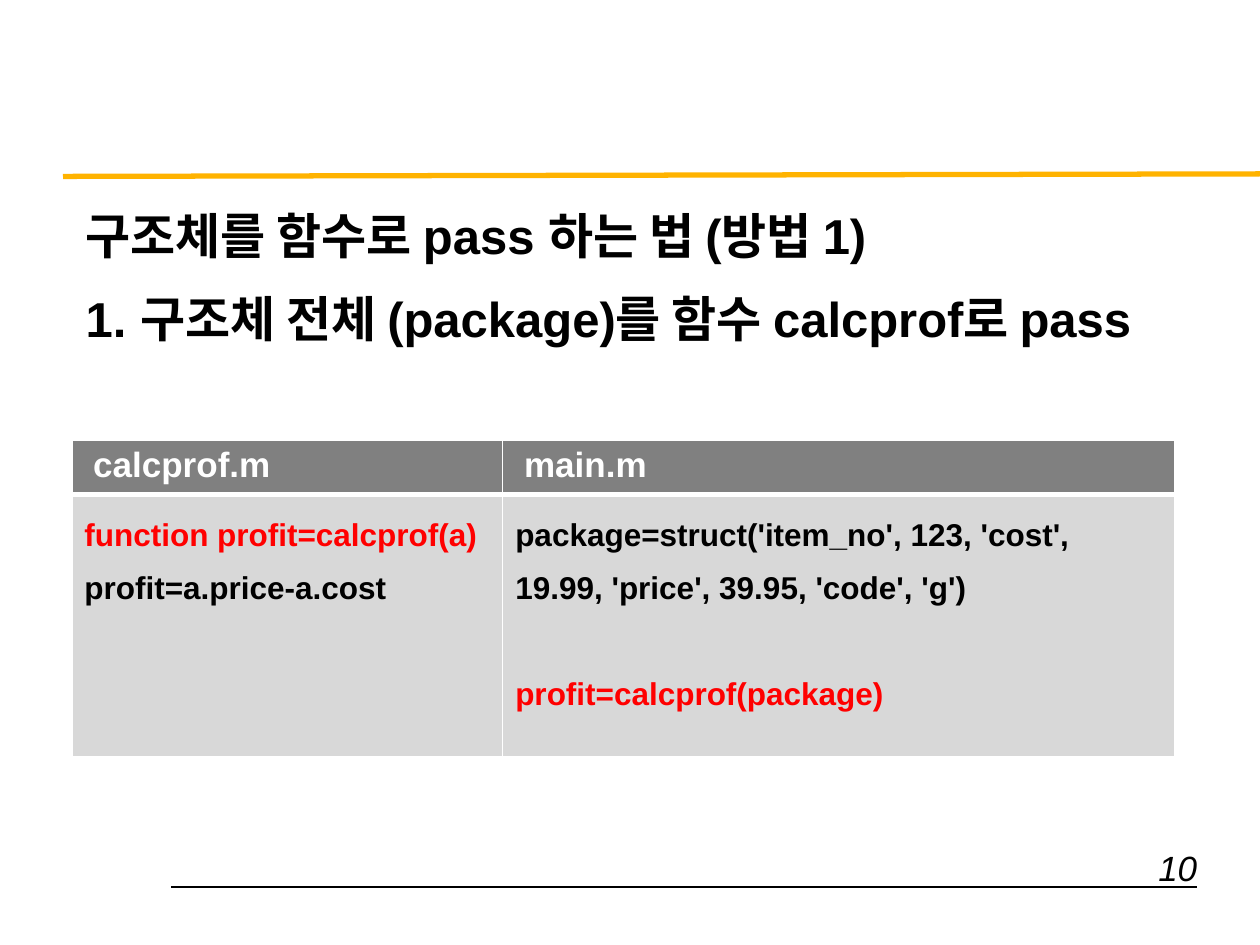
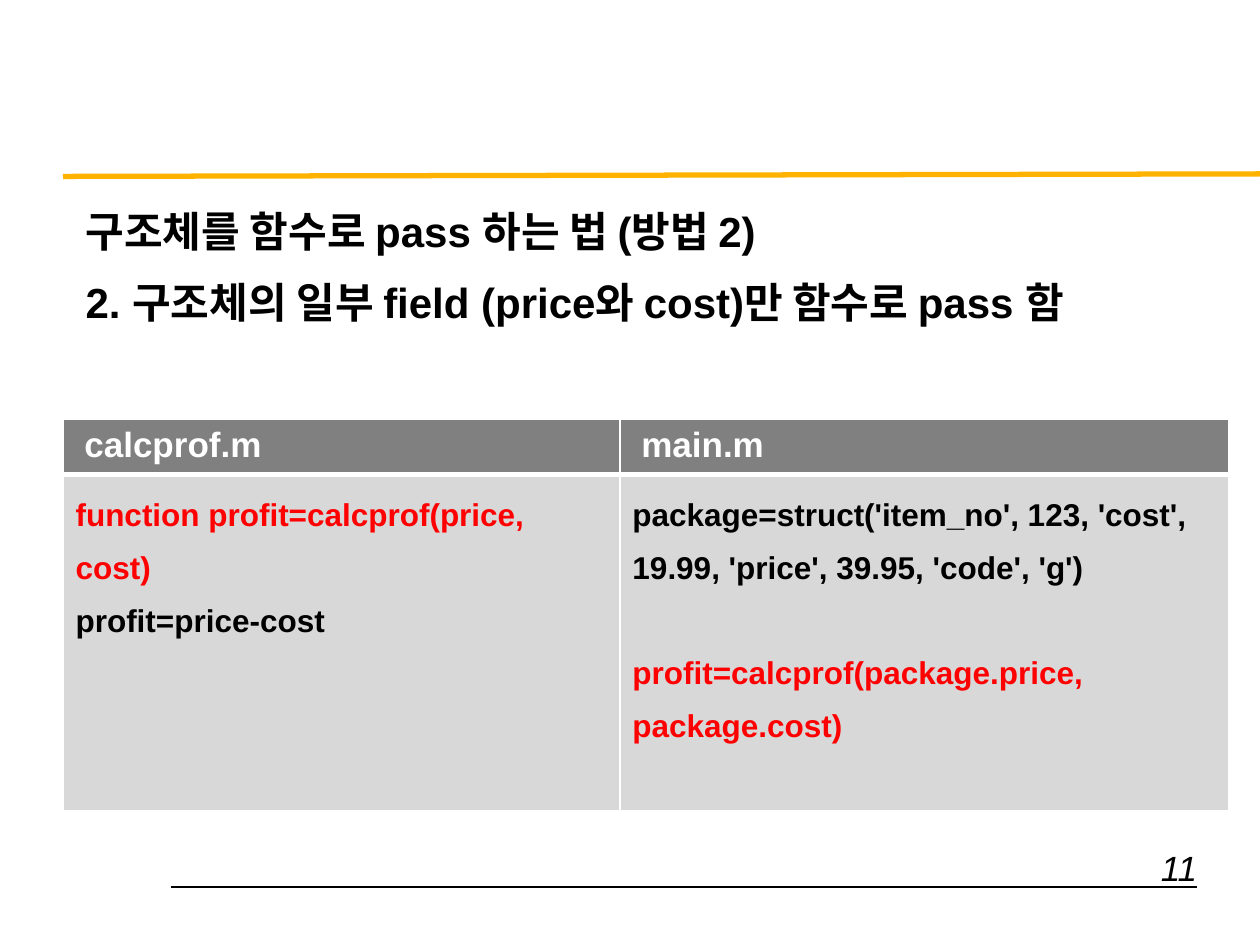
from lxml import etree
from pptx import Presentation
from pptx import util as u
from pptx.dml.color import RGBColor
from pptx.enum import shapes, text
from pptx.oxml import ns

BLACK = RGBColor(0, 0, 0)
WHITE = RGBColor(255, 255, 255)
RED = RGBColor(255, 0, 0)
GOLD = RGBColor(0xFF, 0xB3, 0x00)
GRAY = RGBColor(0x80, 0x80, 0x80)
PALE = RGBColor(0xD8, 0xD8, 0xD8)
STRUCT = "package=struct('item_no', 123, 'cost', 19.99, 'price', 39.95, 'code', 'g')"
RULES = [
    (1.36, 7.04, 9.5, 7.04, BLACK, 0.75),
    (0.5, 1.4, 10, 1.38, GOLD, 3),
]
PAGES = [
    dict(
        page=10, size=28, left=0.57, top=3.49, cols=[3.42, 5.33], rows=[0.42, 2.08],
        head=["구조체를 함수로 pass 하는 법 (방법 1)",
              "1. 구조체 전체 (package)를 함수 calcprof로 pass"],
        func=["function profit=calcprof(a)", "profit=a.price-a.cost"],
        call="profit=calcprof(package)",
    ),
    dict(
        page=11, size=24, left=0.5, top=3.33, cols=[4.42, 4.83], rows=[0.42, 2.67],
        head=["구조체를 함수로 pass 하는 법 (방법 2)",
              "2. 구조체의 일부 field (price와 cost)만 함수로 pass 함"],
        func=["function profit=calcprof(price, cost)", "profit=price-cost"],
        call="profit=calcprof(package.price, package.cost)",
    ),
]


def write(para, words, size, color=BLACK, bold=True, italic=False,
          align=text.PP_ALIGN.LEFT, before=0, spacing=None):
    para.alignment = align
    para.space_before = u.Pt(before)
    if spacing:
        para.line_spacing = spacing
    run = para.add_run()
    run.text = words
    font = run.font
    font.name, font.size = "Arial", u.Pt(size)
    font.bold, font.italic = bold, italic
    font.color.rgb = color


def style(cell, fill, base):
    props = cell._tc.get_or_add_tcPr()
    for side, width in zip("LRTB", (1, 1, 1, base)):
        line = etree.SubElement(props, ns.qn("a:ln" + side), w=str(u.Pt(width)))
        solid = etree.SubElement(line, ns.qn("a:solidFill"))
        etree.SubElement(solid, ns.qn("a:srgbClr"), val=str(WHITE))
    cell.fill.solid()
    cell.fill.fore_color.rgb = fill


deck = Presentation()
deck.slide_width = u.Inches(10)
deck.slide_height = u.Inches(7.5)

for page in PAGES:
    slide = deck.slides.add_slide(deck.slide_layouts[1])
    title = slide.shapes.title._element
    title.getparent().remove(title)

    for x1, y1, x2, y2, color, width in RULES:
        rule = slide.shapes.add_connector(
            shapes.MSO_CONNECTOR.STRAIGHT, *map(u.Inches, (x1, y1, x2, y2)))
        rule.line.color.rgb = color
        rule.line.width = u.Pt(width)
        etree.SubElement(rule._element.spPr, ns.qn("a:effectLst"))

    body = slide.placeholders[1]
    body.left, body.top, body.width, body.height = map(u.Inches, (0.58, 1.58, 9.12, 4.54))
    frame = body.text_frame
    frame.auto_size = text.MSO_AUTO_SIZE.NONE
    for i, words in enumerate(page["head"]):
        para = frame.add_paragraph() if i else frame.paragraphs[0]
        write(para, words, page["size"], before=page["size"] / 2)
        props = para._p.get_or_add_pPr()
        props.set("marL", "0")
        props.set("indent", "0")
        etree.SubElement(props, ns.qn("a:buNone"))

    foot = slide.shapes.add_textbox(*map(u.Inches, (7.42, 6.67, 2.18, 0.38)))
    foot.text_frame.word_wrap = True
    write(foot.text_frame.paragraphs[0], str(page["page"]), 20,
          bold=False, italic=True, align=text.PP_ALIGN.RIGHT)

    cols, rows = page["cols"], page["rows"]
    table = slide.shapes.add_table(2, 2, *map(
        u.Inches, (page["left"], page["top"], sum(cols), sum(rows)))).table
    codes = [
        [(page["func"][0], RED, 0), (page["func"][1], BLACK, 0)],
        [(STRUCT, BLACK, 0), (page["call"], RED, 30)],
    ]
    for i, height in enumerate(rows):
        table.rows[i].height = u.Inches(height)
    for c, name in enumerate(["calcprof.m", "main.m"]):
        table.columns[c].width = u.Inches(cols[c])
        head, cell = table.cell(0, c), table.cell(1, c)
        style(head, GRAY, 3)
        style(cell, PALE, 1)
        head.margin_left = u.Inches(0.17)
        write(head.text_frame.paragraphs[0], name, 20, WHITE)
        frame = cell.text_frame
        for i, (words, color, gap) in enumerate(codes[c]):
            para = frame.add_paragraph() if i else frame.paragraphs[0]
            write(para, words, 18, color, before=gap, spacing=1.5)

deck.save("out.pptx")
